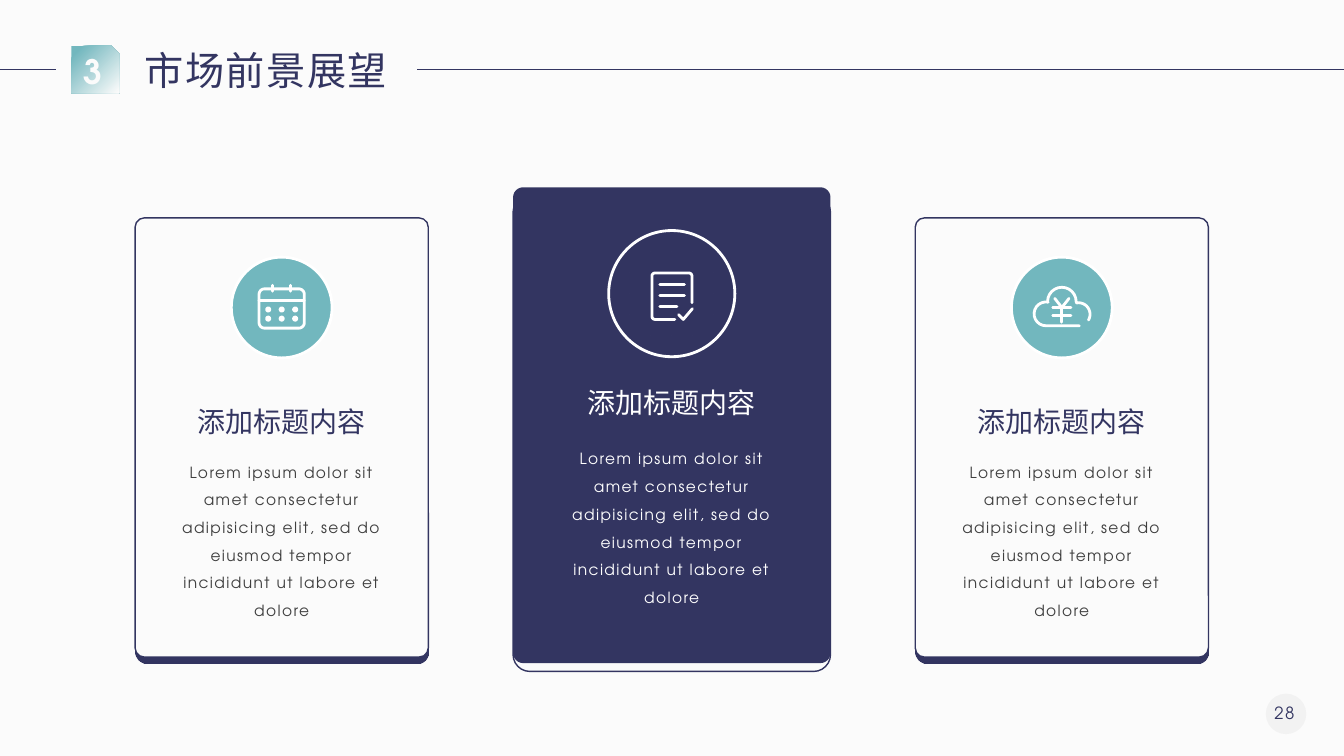
"""Build a market outlook slide with three icon cards."""
from dataclasses import dataclass
from math import cos, radians, sin
from typing import Any, Optional, Union

from lxml.etree import SubElement
from pptx import Presentation
from pptx.dml.color import RGBColor
from pptx.enum.shapes import MSO_CONNECTOR, MSO_SHAPE
from pptx.enum.text import MSO_ANCHOR, MSO_AUTO_SIZE, PP_ALIGN
from pptx.oxml.ns import qn
from pptx.util import Cm, Pt

NAVY = RGBColor(0x33, 0x35, 0x61)
TEAL = RGBColor(0x72, 0xB7, 0xBE)
PAPER = RGBColor(0xFB, 0xFB, 0xFB)
WHITE = RGBColor(0xFF, 0xFF, 0xFF)
GREY = RGBColor(0xA6, 0xA6, 0xA6)
CHARCOAL = RGBColor(0x3F, 0x3F, 0x3F)
LATIN_FONT = "TeX Gyre Adventor"
CHINESE_FONT = "Noto Sans CJK SC"
HEADING = "添加标题内容"
BODY = ("Lorem ipsum dolor sit amet consectetur adipisicing elit, "
        "sed do eiusmod tempor incididunt ut labore et dolore")

Point = tuple[float, float]
Stroke = list[Point]


@dataclass(frozen=True)
class Stop:
    position: float
    color: RGBColor
    opacity: int = 100


@dataclass(frozen=True)
class Gradient:
    angle: int
    stops: tuple[Stop, Stop]


Fill = Union[RGBColor, Gradient]
FADE = Gradient(270, (Stop(0, NAVY, 70), Stop(1, NAVY)))
BADGE_FADE = Gradient(315, (Stop(0.11, TEAL), Stop(0.99, PAPER)))


@dataclass(frozen=True)
class Plate:
    top: float
    corner: float
    fill: Fill
    line: Optional[RGBColor] = None


@dataclass(frozen=True)
class Card:
    center: float
    width: float
    height: float
    plates: tuple[Plate, Plate]
    circle_center: float
    circle_size: float
    circle_fill: Fill
    heading_top: float
    body_top: float
    heading_color: RGBColor
    body_color: RGBColor
    icon: list[Stroke]


def arc(x: float, y: float, radius: float, start: int, end: int) -> Stroke:
    """Return points along an arc, with angles running clockwise from the right."""
    steps = 12
    angles = [radians(start + (end - start) * step / steps) for step in range(steps + 1)]
    return [(x + radius * cos(angle), y + radius * sin(angle)) for angle in angles]


def calendar_icon() -> list[Stroke]:
    """Return the strokes of the calendar."""
    frame = (arc(-0.43, -0.33, 0.14, 180, 270) + arc(0.43, -0.33, 0.14, 270, 360)
             + arc(0.43, 0.38, 0.14, 0, 90) + arc(-0.43, 0.38, 0.14, 90, 180) + [(-0.57, -0.33)])
    pins = [[(x, -0.56), (x, -0.41)] for x in (-0.23, 0.23)]
    dots = [arc(x, y, 0.04, 0, 360) for y in (0.05, 0.28) for x in (-0.34, 0, 0.34)]
    return [frame, [(-0.57, -0.17), (0.57, -0.17)], *pins, *dots]


def document_icon() -> list[Stroke]:
    """Return the strokes of the checked document."""
    page = [(0.08, 0.65), *arc(-0.42, 0.57, 0.08, 90, 180), *arc(-0.42, -0.44, 0.08, 180, 270),
            *arc(0.43, -0.44, 0.08, 270, 360), (0.51, 0.23)]
    rows = [[(-0.3, y), (end, y)] for y, end in ((-0.24, 0.32), (0.04, 0.32), (0.32, 0.13))]
    return [page, *rows, [(0.17, 0.53), (0.29, 0.65), (0.52, 0.38)]]


def cloud_icon() -> list[Stroke]:
    """Return the strokes of the cloud with a yuan sign."""
    cloud = [(0.44, 0.46), *arc(-0.4, 0.16, 0.3, 90, 280), *arc(0, -0.15, 0.36, 180, 360),
             *arc(0.42, 0.17, 0.29, 260, 390)]
    bars = [[(-0.23, y), (0.23, y)] for y in (0, 0.2)]
    return [cloud, [(-0.18, -0.23), (0, 0), (0.18, -0.23)], [(0, 0), (0, 0.37)], *bars]


def set_values(target: Any, values: dict[str, Any]) -> None:
    """Set each named attribute on the target."""
    for name, value in values.items():
        setattr(target, name, value)


def set_opacity(color: Any, percent: int) -> None:
    """Make an XML colour partly transparent."""
    SubElement(color, qn("a:alpha")).set("val", str(percent * 1000))


def paint(shape: Any, fill: Fill, line: Optional[RGBColor] = None, weight: float = 1) -> None:
    """Fill and outline a shape without a shadow."""
    shape.shadow.inherit = False
    if isinstance(fill, Gradient):
        shape.fill.gradient()
        shape.fill.gradient_angle = fill.angle
        for target, stop in zip(shape.fill.gradient_stops, fill.stops):
            target.position = stop.position
            target.color.rgb = stop.color
        for color, stop in zip(shape._element.spPr.iter(qn("a:srgbClr")), fill.stops):
            set_opacity(color, stop.opacity)
    else:
        shape.fill.solid()
        shape.fill.fore_color.rgb = fill
    if line is None:
        shape.line.fill.background()
    else:
        shape.line.color.rgb = line
        shape.line.width = Pt(weight)


def add_preset(slide: Any, kind: MSO_SHAPE, box: tuple[float, ...], fill: Fill,
               line: Optional[RGBColor] = None, weight: float = 1) -> Any:
    """Add a painted preset shape."""
    shape = slide.shapes.add_shape(kind, *map(Cm, box))
    paint(shape, fill, line, weight)
    return shape


def write(shape: Any, text: str, font: str, size: float, color: RGBColor, spacing: int = 0,
          bold: bool = False, frame: Optional[dict[str, Any]] = None,
          layout: Optional[dict[str, Any]] = None) -> None:
    """Put one formatted paragraph in a shape."""
    set_values(shape.text_frame, {"word_wrap": True, **(frame or {})})
    paragraph = shape.text_frame.paragraphs[0]
    set_values(paragraph, {"alignment": PP_ALIGN.CENTER, **(layout or {})})
    run = paragraph.add_run()
    run.text = text
    set_values(run.font, {"name": font, "size": Pt(size), "bold": bold})
    run.font.color.rgb = color
    properties = run._r.get_or_add_rPr()
    properties.set("spc", str(spacing * 100))
    SubElement(properties, qn("a:ea")).set("typeface", font)


def add_rule(slide: Any, start: float, end: float) -> None:
    """Add a horizontal header line."""
    rule = slide.shapes.add_connector(MSO_CONNECTOR.STRAIGHT, Cm(start), Cm(1.75), Cm(end), Cm(1.75))
    rule.line.color.rgb = NAVY
    rule.line.width = Pt(1)
    SubElement(rule._element.spPr, qn("a:effectLst"))


def add_icon(slide: Any, strokes: list[Stroke], x: float, y: float) -> None:
    """Draw white rounded strokes around a centre."""
    placed = [[(Cm(x + dx), Cm(y + dy)) for dx, dy in stroke] for stroke in strokes]
    builder = slide.shapes.build_freeform(*placed[0][0])
    builder.add_line_segments(placed[0][1:], close=False)
    for stroke in placed[1:]:
        builder.move_to(*stroke[0])
        builder.add_line_segments(stroke[1:], close=False)
    icon = builder.convert_to_shape()
    paint(icon, WHITE, WHITE, 2)
    icon.fill.background()
    outline = icon.line._get_or_add_ln()
    outline.set("cap", "rnd")
    SubElement(outline, qn("a:round"))


def add_card(slide: Any, card: Card) -> None:
    """Draw a card with its plates, icon and texts."""
    left = card.center - card.width / 2
    for plate in card.plates:
        shape = add_preset(slide, MSO_SHAPE.ROUNDED_RECTANGLE,
                           (left, plate.top, card.width, card.height), plate.fill, plate.line)
        shape.adjustments[0] = plate.corner
    radius = card.circle_size / 2
    add_preset(slide, MSO_SHAPE.OVAL, (card.center - radius, card.circle_center - radius,
               card.circle_size, card.circle_size), card.circle_fill, WHITE, 2)
    add_icon(slide, card.icon, card.center, card.circle_center)
    grow = {"auto_size": MSO_AUTO_SIZE.SHAPE_TO_FIT_TEXT}
    heading = slide.shapes.add_textbox(Cm(card.center - 2.39), Cm(card.heading_top), Cm(4.78), Cm(1.12))
    write(heading, HEADING, CHINESE_FONT, 20, card.heading_color, frame={**grow, "word_wrap": False})
    body = slide.shapes.add_textbox(Cm(card.center - 3.07), Cm(card.body_top), Cm(6.14), Cm(3.78))
    write(body, BODY, LATIN_FONT, 11, card.body_color, 1, frame=grow, layout={"line_spacing": 1.5})


def main() -> None:
    """Build and save the presentation."""
    presentation = Presentation()
    set_values(presentation, {"slide_width": Cm(33.87), "slide_height": Cm(19.05)})
    slide = presentation.slides.add_slide(presentation.slide_layouts[5])
    slide.background.fill.solid()
    slide.background.fill.fore_color.rgb = PAPER
    middle = {"vertical_anchor": MSO_ANCHOR.MIDDLE}

    title = slide.shapes.title
    set_values(title, {"left": Cm(3.4), "top": Cm(1.04), "width": Cm(6.71), "height": Cm(1.45)})
    write(title, "市场前景展望", CHINESE_FONT, 28, NAVY, 1, layout={"alignment": PP_ALIGN.LEFT},
          frame={**middle, "word_wrap": False, "auto_size": MSO_AUTO_SIZE.SHAPE_TO_FIT_TEXT})
    add_rule(slide, 10.52, 33.87)
    add_rule(slide, 0, 1.4)
    badge = add_preset(slide, MSO_SHAPE.SNIP_1_RECTANGLE, (1.8, 1.15, 1.2, 1.2), BADGE_FADE)
    write(badge, "3", LATIN_FONT, 24, PAPER, bold=True, frame=middle)

    light = (Plate(5.64, 0.039, FADE), Plate(5.49, 0.032, PAPER, NAVY))
    dark = (Plate(4.93, 0.053, PAPER, NAVY), Plate(4.72, 0.032, NAVY))
    side = (7.39, 11.07, light, 7.75, 2.54, TEAL, 10.06, 11.3, NAVY, CHARCOAL)
    featured = (8, 11.99, dark, 7.4, 3.18, FADE, 9.6, 10.97, WHITE, WHITE)
    looks = ((side, calendar_icon()), (featured, document_icon()), (side, cloud_icon()))
    for index, (look, icon) in enumerate(looks):
        add_card(slide, Card(7.1 + 9.83 * index, *look, icon))

    disc = add_preset(slide, MSO_SHAPE.OVAL, (31.9, 17.48, 1.02, 1.02), GREY)
    set_opacity(next(disc._element.spPr.iter(qn("a:srgbClr"))), 10)
    number = slide.shapes.add_textbox(Cm(31.67), Cm(17.58), Cm(1.4), Cm(0.76))
    write(number, "28", LATIN_FONT, 12, NAVY, 1, frame=middle)
    presentation.save("out.pptx")


if __name__ == "__main__":
    main()
